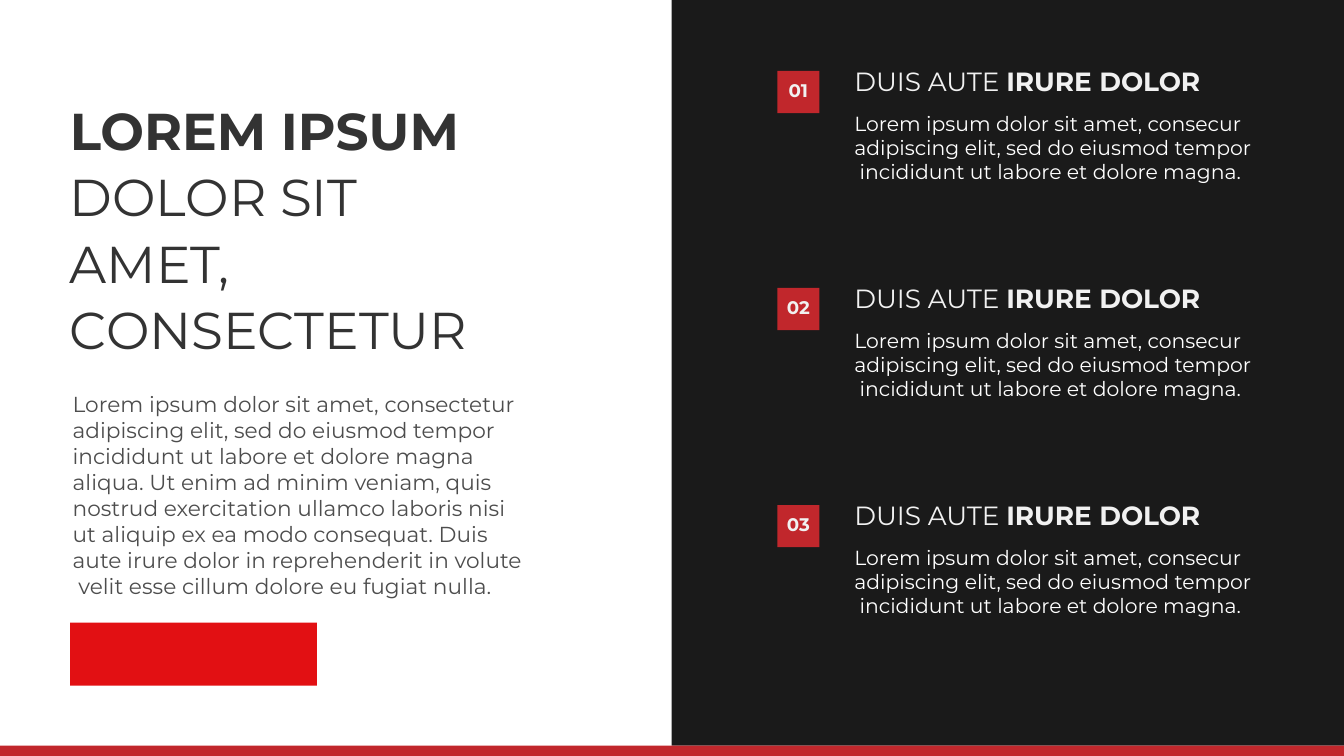
from dataclasses import dataclass

from lxml import etree
from pptx import Presentation
from pptx.dml.color import RGBColor
from pptx.enum.shapes import MSO_SHAPE
from pptx.enum.text import MSO_ANCHOR, MSO_AUTO_SIZE, PP_ALIGN
from pptx.oxml.ns import qn
from pptx.shapes.autoshape import Shape
from pptx.slide import Slide
from pptx.text.text import TextFrame, _Paragraph, _Run
from pptx.util import Cm, Pt

RECT = MSO_SHAPE.RECTANGLE
TOP, MIDDLE = MSO_ANCHOR.TOP, MSO_ANCHOR.MIDDLE
FIXED = MSO_AUTO_SIZE.NONE
LEFT, CENTER = PP_ALIGN.LEFT, PP_ALIGN.CENTER

FACE = "Montserrat"
RED, DARK, PALE, WHITE = "C1272C", "1A1A1A", "F1F1F1", "FFFFFF"
PITCH = 9.02

TITLE = "LOREM IPSUM\vDOLOR SIT\vAMET,\vCONSECTETUR"
BODY = "\v".join([
    "Lorem ipsum dolor sit amet, consectetur",
    "adipiscing elit, sed do eiusmod tempor",
    "incididunt ut labore et dolore magna",
    "aliqua. Ut enim ad minim veniam, quis",
    "nostrud exercitation ullamco laboris nisi",
    "ut aliquip ex ea modo consequat. Duis",
    "aute irure dolor in reprehenderit in volute",
    " velit esse cillum dolore eu fugiat nulla.",
])
DETAIL = "\v".join([
    "Lorem ipsum dolor sit amet, consecur",
    "adipiscing elit, sed do eiusmod tempor",
    " incididunt ut labore et dolore magna.",
])


@dataclass
class Box:
    """A place on the slide, in centimetres."""
    left: float
    top: float
    width: float
    height: float


@dataclass
class Block:
    """A plain filled rectangle."""
    box: Box
    fill: str


@dataclass
class Item:
    """A numbered point with a two-weight heading."""
    num: str
    light: str
    strong: str
    text: str


BLOCKS = [
    Block(Box(27.92, 0, 27.94, 30.99), DARK),
    Block(Box(2.92, 25.88, 10.25, 2.62), "E21013"),
    Block(Box(0, 30.99, 55.86, 0.43), RED),
]
ITEMS = [Item(num, "DUIS AUTE ", "IRURE DOLOR", DETAIL)
         for num in ("01", "02", "03")]


def color(code: str) -> RGBColor:
    """Turn a hex string into a colour."""
    return RGBColor.from_string(code)


def style(run: _Run, size: float, code: str, bold: bool = False) -> None:
    """Format one run."""
    font = run.font
    font.name, font.size, font.bold = FACE, Pt(size), bold
    font.color.rgb = color(code)


def style_all(para: _Paragraph, size: float, code: str) -> None:
    """Format every run of a paragraph alike."""
    for run in para.runs:
        style(run, size, code)


def set_frame(frame: TextFrame, anchor: MSO_ANCHOR = TOP) -> None:
    """Clear the margins and fix the size of a text frame."""
    frame.auto_size = FIXED
    frame.word_wrap = True
    frame.vertical_anchor = anchor
    frame.margin_left = frame.margin_right = 0
    frame.margin_top = frame.margin_bottom = 0


def place(shape: Shape, box: Box) -> None:
    """Move and size a shape."""
    shape.left, shape.top = Cm(box.left), Cm(box.top)
    shape.width, shape.height = Cm(box.width), Cm(box.height)


def add_block(slide: Slide, block: Block) -> Shape:
    """Draw a filled rectangle."""
    box = block.box
    shape = slide.shapes.add_shape(
        RECT, Cm(box.left), Cm(box.top), Cm(box.width), Cm(box.height))
    shape.shadow.inherit = False
    shape.fill.solid()
    shape.fill.fore_color.rgb = color(block.fill)
    shape.line.fill.background()
    return shape


def fill_holder(shape: Shape, box: Box, text: str) -> _Paragraph:
    """Place a placeholder and set its text without a bullet."""
    place(shape, box)
    set_frame(shape.text_frame)
    shape.text_frame.text = text
    para = shape.text_frame.paragraphs[0]
    props = para._p.get_or_add_pPr()
    props.set("marL", "0")
    props.set("indent", "0")
    etree.SubElement(props, qn("a:buNone"))
    para.alignment = LEFT
    para.space_before = Pt(0)
    return para


def add_intro(slide: Slide) -> None:
    """Write the main title and its text."""
    head = fill_holder(slide.shapes.title, Box(2.9, 3.91, 19, 11.1), TITLE)
    head.line_spacing = 1.07
    style_all(head, 61, "333333")
    head.runs[0].font.bold = True
    body = fill_holder(slide.placeholders[1], Box(3.02, 16.26, 20, 9.1), BODY)
    style_all(body, 25.5, "4D4D4D")


def add_item(slide: Slide, item: Item, shift: float) -> None:
    """Draw one number badge with its heading and text."""
    badge = add_block(slide, Block(Box(32.31, 2.95 + shift, 1.75, 1.75), RED))
    frame = badge.text_frame
    set_frame(frame, MIDDLE)
    frame.margin_bottom = Cm(0.17)
    frame.text = item.num
    frame.paragraphs[0].alignment = CENTER
    style(frame.paragraphs[0].runs[0], 21.5, PALE, True)

    note = slide.shapes.add_textbox(
        Cm(35.51), Cm(2.72 + shift), Cm(17.5), Cm(5))
    frame = note.text_frame
    set_frame(frame)
    frame.text = item.light
    head = frame.paragraphs[0]
    style(head.runs[0], 31, PALE)
    strong = head.add_run()
    strong.text = item.strong
    style(strong, 31, PALE, True)
    body = frame.add_paragraph()
    body.text = item.text
    body.space_before = Pt(16.4)
    body.line_spacing = Pt(28.7)
    style_all(body, 24, WHITE)


def main() -> None:
    """Build and save the slide."""
    deck = Presentation()
    deck.slide_width, deck.slide_height = Cm(55.86), Cm(31.42)
    slide = deck.slides.add_slide(deck.slide_layouts[1])
    for block in BLOCKS:
        add_block(slide, block)
    add_intro(slide)
    for row, item in enumerate(ITEMS):
        add_item(slide, item, row * PITCH)
    deck.save("out.pptx")


if __name__ == "__main__":
    main()
